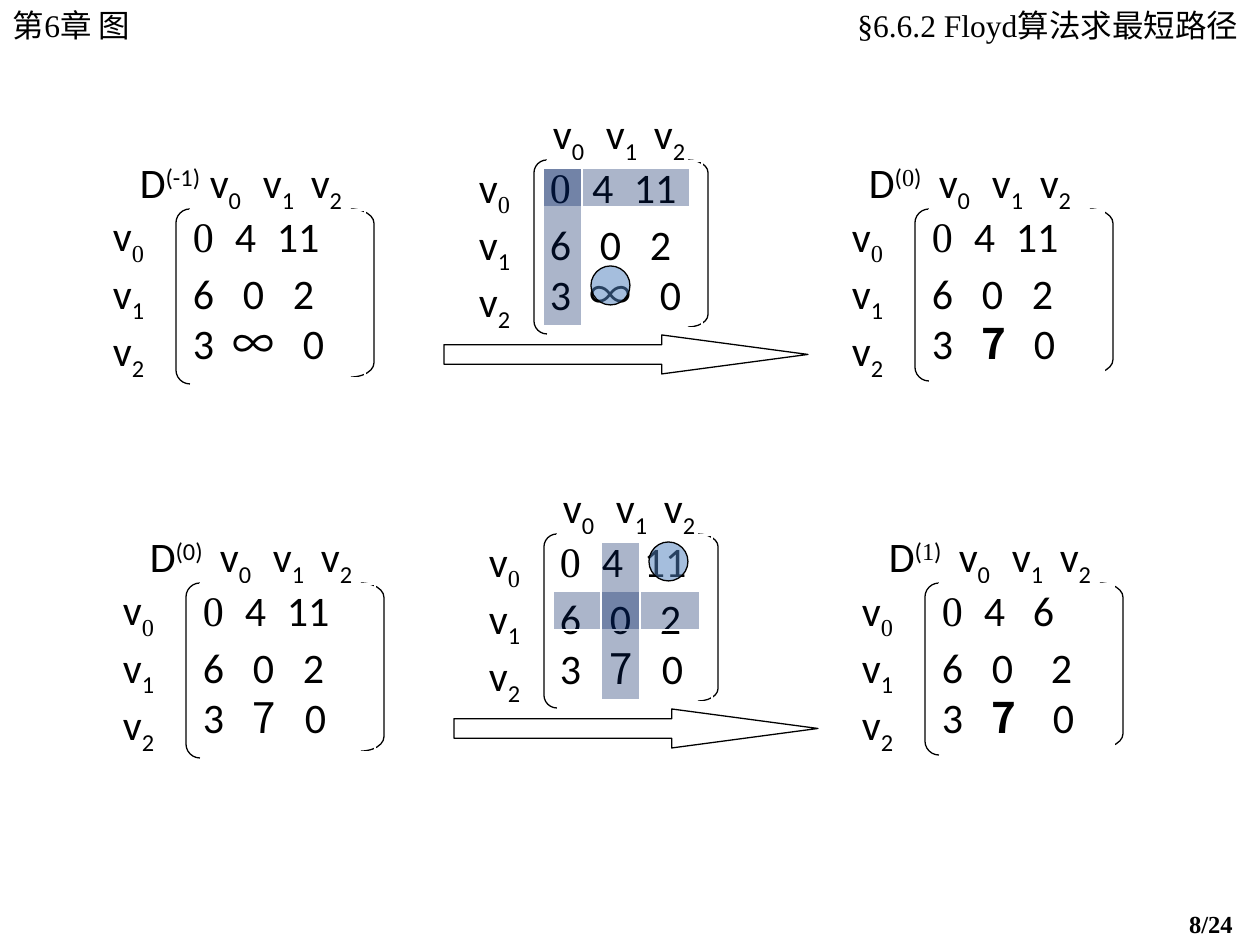
from dataclasses import dataclass

from lxml.etree import SubElement
from pptx import Presentation
from pptx.dml.color import RGBColor
from pptx.enum.shapes import MSO_SHAPE as Preset
from pptx.enum.text import MSO_ANCHOR as Anchor, PP_ALIGN as Align
from pptx.oxml.ns import qn
from pptx.util import Emu, Pt


@dataclass(frozen=True)
class Theme:
    ink: str = "000000"
    paper: str = "FFFFFF"
    highlight: str = "002060"
    circle: str = "4F81BD"
    serif: str = "Times New Roman"
    sans: str = "Calibri"
    chinese: str = "Noto Sans CJK SC"
    heading: int = 18
    matrix: int = 24
    page: int = 14
    line: float = 0.75


@dataclass(frozen=True)
class Frame:
    """Widths of the parts of one kind of matrix panel, in px."""
    header: int
    bracket: int
    bracket_width: int
    right: int
    right_width: int
    body: int
    labels: int
    height: int
    first_column: int


THEME = Theme()
SIDE = Frame(266, 68, 14, 243, 23, 175, 52, 175, 70)
RESULT = Frame(266, 68, 14, 243, 23, 175, 52, 172, 70)
STEP = Frame(234, 60, 13, 214, 20, 155, 45, 174, 56)

# Rows of a matrix: (left offset in px, value) for each cell
FIRST = [(0, "0"), (42, "4"), (84, "11")]
FIRST_SHORT = [(0, "0"), (42, "4"), (91, "6")]
SECOND = [(0, "6"), (50, "0"), (100, "2")]
SECOND_WIDE = [(0, "6"), (50, "0"), (109, "2")]
THIRD_INFINITE = [(0, "3"), (40, "∞"), (110, "0")]
THIRD = [(0, "3"), (50, "7"), (102, "0")]
THIRD_WIDE = [(0, "3"), (50, "7"), (111, "0")]


def px(value):
    return Emu(round(value * 914400 / 126))


def box_of(*values):
    return [px(value) for value in values]


def apply_format(target, values):
    for name, value in values.items():
        setattr(target, name, value)


def add_run(paragraph, text, size, face, bold=False, baseline=0):
    run = paragraph.add_run()
    run.text = text
    apply_format(run.font, {"size": Pt(size), "name": face, "bold": bold})
    run.font.color.rgb = RGBColor.from_string(THEME.ink)
    properties = run.font._element
    SubElement(properties, qn("a:ea")).set("typeface", THEME.chinese)
    if baseline:
        properties.set("baseline", str(baseline * 1000))


def set_frame(shape, side=0, edge=0, wrap=True):
    frame = shape.text_frame
    apply_format(frame, {
        "margin_left": px(side), "margin_right": px(side),
        "margin_top": px(edge), "margin_bottom": px(edge),
        "word_wrap": wrap, "vertical_anchor": Anchor.TOP})
    return frame


def add_preset(slide, preset, box, fill=None, line=THEME.ink, alpha=None, adjust=()):
    shape = slide.shapes.add_shape(preset, *box_of(*box))
    shape.shadow.inherit = False
    shape.line.color.rgb = RGBColor.from_string(line)
    shape.line.width = Pt(THEME.line)
    for index, value in enumerate(adjust):
        shape.adjustments[index] = value
    if fill is None:
        shape.fill.background()
        return shape
    shape.fill.solid()
    shape.fill.fore_color.rgb = RGBColor.from_string(fill)
    if alpha:
        color = shape.element.spPr.find(qn("a:solidFill")).find(qn("a:srgbClr"))
        SubElement(color, qn("a:alpha")).set("val", str(alpha * 1000))
    return shape


def add_text_panel(slide, box, side, fill=THEME.paper):
    shape = add_preset(slide, Preset.RECTANGLE, box, fill, THEME.paper)
    return set_frame(shape, side)


def paragraph_at(frame, index):
    paragraph = frame.paragraphs[0] if index == 0 else frame.add_paragraph()
    paragraph.alignment = Align.LEFT
    return paragraph


def write_cells(paragraph, cells):
    """Each cell is (offset, runs); a run is (text, face, bold, baseline)."""
    tabs = SubElement(paragraph._p.get_or_add_pPr(), qn("a:tabLst"))
    for index, (offset, runs) in enumerate(cells):
        if index:
            tab = SubElement(tabs, qn("a:tab"))
            tab.set("pos", str(px(offset)))
            tab.set("algn", "l")
        for position, (text, *style) in enumerate(runs):
            lead = "\t" if index and position == 0 else ""
            add_run(paragraph, lead + text, THEME.matrix, *style)


def vertex(number, face=THEME.sans):
    return [("v", THEME.sans, False, 0), (str(number), face, False, -25)]


def value_run(row, column, text, bold):
    if text in "∞7":
        return text, THEME.chinese, bold, 0
    face = THEME.serif if row == column == 0 else THEME.sans
    return text, face, False, 0


def add_matrix(slide, left, top, frame, rows, power=(), shift=0, bold=False):
    # Header with the matrix name and the column vertices
    header = add_text_panel(slide, (left + shift, top, frame.header, 53), 8)
    name = [("D", THEME.sans, False, 0)] if power else []
    name += [(text, face, False, 30) for text, face in power]
    columns = [(frame.first_column + gap, vertex(number))
               for number, gap in enumerate((0, 53, 101))]
    write_cells(header.paragraphs[0], [(0, name)] + columns)

    # Brackets
    inner = frame.height - 7
    add_preset(slide, Preset.LEFT_BRACKET,
               (left + frame.bracket, top + 52, frame.bracket_width, frame.height),
               adjust=[1])
    add_preset(slide, Preset.RIGHT_BRACKET,
               (left + frame.right, top + 52, frame.right_width, inner), adjust=[0.62])

    # Values
    body_left = left + frame.bracket + frame.bracket_width
    fill = THEME.paper if frame is RESULT else None
    body = add_text_panel(slide, (body_left, top + 53, frame.body, inner), 3, fill)
    for row, cells in enumerate(rows):
        paragraph = paragraph_at(body, row)
        write_cells(paragraph, [(offset, [value_run(row, column, text, bold)])
                                for column, (offset, text) in enumerate(cells)])
        paragraph.line_spacing = Pt(29)
        if row == 1:
            paragraph.space_before = Pt(3.5)

    # Row vertices
    labels = add_text_panel(slide, (left + 2, top + 53, frame.labels, frame.height - 1), 3)
    for row in range(3):
        face = THEME.serif if row == 0 else THEME.sans
        write_cells(paragraph_at(labels, row), [(0, vertex(row, face))])


def add_step(slide, left, top, rows, pivot, changed):
    """Matrix with the pivot row and column shaded, and the changed cell circled."""
    add_preset(slide, Preset.RIGHT_ARROW, (left - 30, top + 227, 364, 39),
               THEME.paper, adjust=(0.5, 3.75))
    add_matrix(slide, left, top, STEP, rows)

    def cell(column, row):
        return left + 69 + 48 * column, top + 60 + 49 * row

    for corner, size in ((cell(0, pivot), (147, 39)), (cell(pivot, 0), (39, 158))):
        add_preset(slide, Preset.RECTANGLE, corner + size,
                   THEME.highlight, THEME.paper, alpha=33)
    add_preset(slide, Preset.OVAL, cell(*changed) + (39, 39), THEME.circle, alpha=51)


def add_caption(slide, box, text, size, bold=False):
    shape = slide.shapes.add_textbox(*box_of(*box))
    frame = set_frame(shape, 13, 6, wrap=False)
    add_run(frame.paragraphs[0], text, size, THEME.serif, bold)


def set_title(slide, box, text):
    title = slide.shapes.title
    apply_format(title, dict(zip(("left", "top", "width", "height"), box_of(*box))))
    frame = set_frame(title, 20, 6)
    frame.paragraphs[0].alignment = Align.RIGHT
    add_run(frame.paragraphs[0], text, THEME.heading, THEME.serif)


def main():
    presentation = Presentation()
    apply_format(presentation, {"slide_width": px(1260), "slide_height": px(945)})
    slide = presentation.slides.add_slide(presentation.slide_layouts[5])

    # Headings
    add_caption(slide, (0, 0, 219, 50), "第6章 图", THEME.heading)
    set_title(slide, (738, 0, 520, 50), "§6.6.2 Floyd算法求最短路径")

    # First pass, through v0
    start = [FIRST, SECOND, THIRD_INFINITE]
    after_first = [FIRST, SECOND, THIRD]
    add_matrix(slide, 108, 157, SIDE, start, [("(-1)", THEME.sans)])
    add_matrix(slide, 847, 157, RESULT, after_first,
               [("(", THEME.sans), ("0", THEME.serif), (")", THEME.sans)],
               shift=-10, bold=True)
    add_step(slide, 474, 108, start, pivot=0, changed=(1, 2))

    # Second pass, through v1
    add_matrix(slide, 118, 531, SIDE, after_first, [("(0)", THEME.sans)])
    add_matrix(slide, 857, 531, RESULT, [FIRST_SHORT, SECOND_WIDE, THIRD_WIDE],
               [("(", THEME.sans), ("1", THEME.serif), (")", THEME.sans)], bold=True)
    add_step(slide, 484, 482, after_first, pivot=1, changed=(2, 0))

    # Page number
    add_caption(slide, (1176, 903, 84, 42), "8/24", THEME.page, bold=True)
    presentation.save("out.pptx")


if __name__ == "__main__":
    main()
